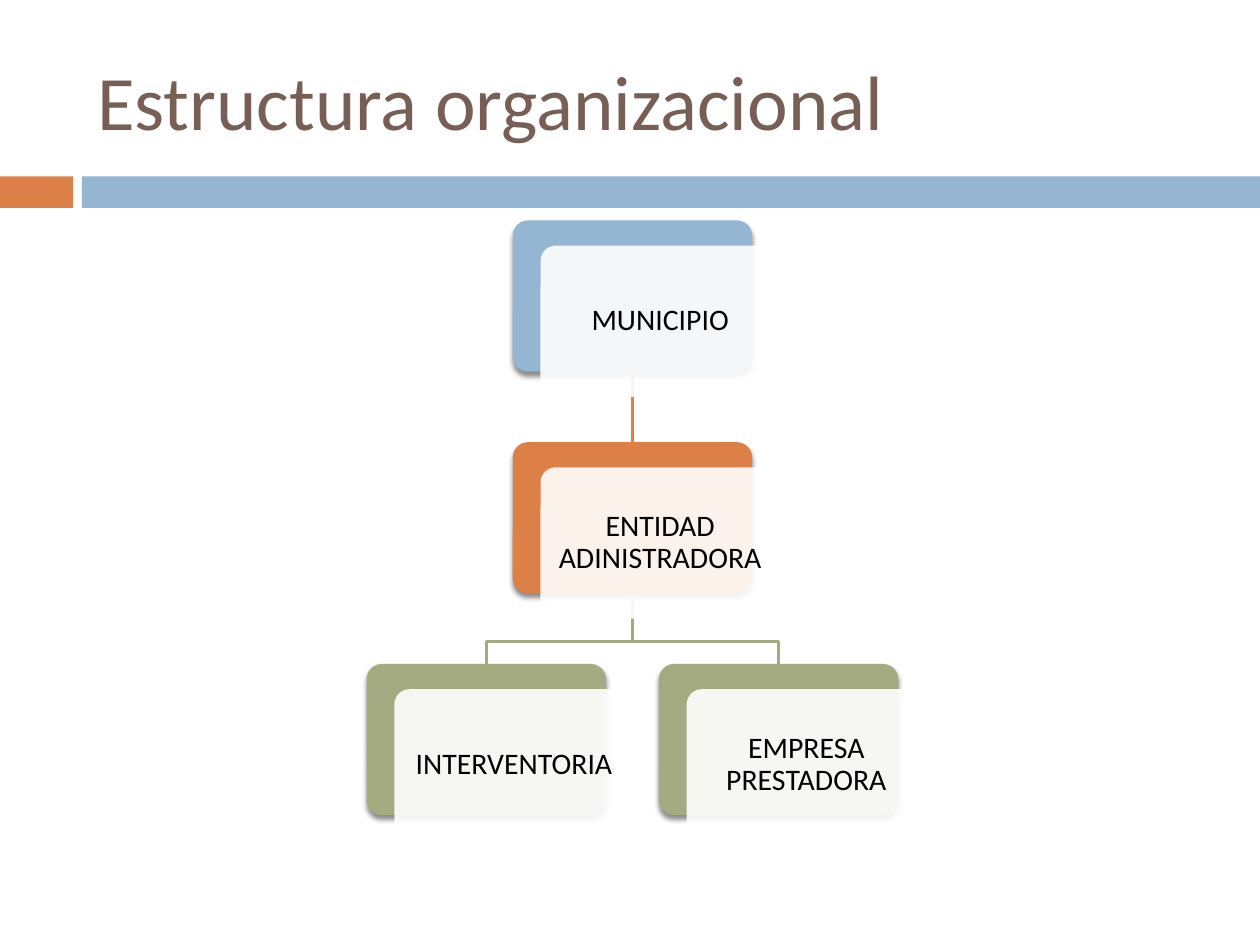
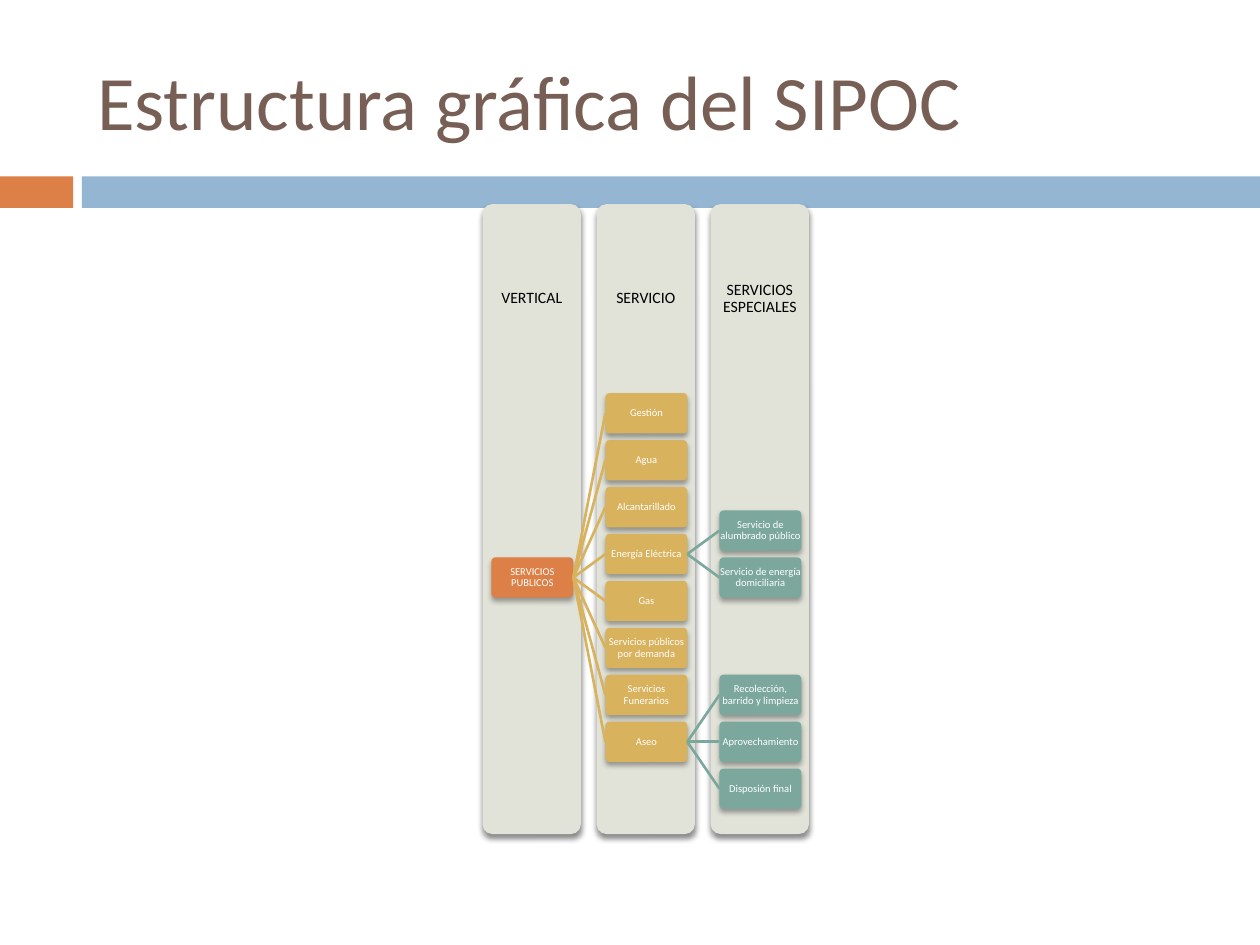
from lxml.etree import SubElement as Sub
from pptx import Presentation
from pptx.dml.color import RGBColor as Rgb
from pptx.enum.shapes import MSO_CONNECTOR as Link, MSO_SHAPE as Kind
from pptx.enum.text import MSO_ANCHOR as Anchor, PP_ALIGN as Align
from pptx.oxml.ns import qn
from pptx.util import Inches, Pt

FONT = "Calibri"
HUES = {
    "title": "775F55", "blue": "94B6D2", "orange": "DD8047", "green": "A5AB81",
    "gold": "D8B25C", "teal": "7BA79D", "lane": "E1E2D8",
    "white": "FFFFFF", "black": "000000",
}
TOP, LEFT, BOTTOM, RIGHT = range(4)


class Deck:
    def __init__(self):
        self.show = Presentation()
        self.show.slide_width, self.show.slide_height = Inches(10), Inches(7.5)
        self.slide = None

    def hue(self, name):
        return Rgb.from_string(HUES[name])

    def page(self, title):
        """Start a slide with the shared bands and title."""
        self.slide = self.show.slides.add_slide(self.show.slide_layouts[5])
        self.block(0, 1.4, 0.58, 0.25, "orange", Kind.RECTANGLE)
        self.block(0.65, 1.4, 9.35, 0.25, "blue", Kind.RECTANGLE)
        head = self.slide.shapes.title
        head.left, head.top = Inches(0.67), Inches(0.25)
        head.width, head.height = Inches(8.92), Inches(1.08)
        self.fill_text(head.text_frame, title, 44, "title", Align.LEFT)

    def fill_text(self, frame, text, size, hue, align=Align.CENTER):
        frame.word_wrap = True
        frame.vertical_anchor = Anchor.MIDDLE
        para = frame.paragraphs[0]
        para.alignment = align
        run = para.add_run()
        run.text = text
        run.font.name, run.font.size = FONT, Pt(size)
        run.font.color.rgb = self.hue(hue)
        return para

    def block(self, x, y, w, h, hue, kind=Kind.ROUNDED_RECTANGLE, alpha=None):
        shape = self.slide.shapes.add_shape(
            kind, Inches(x), Inches(y), Inches(w), Inches(h))
        if kind == Kind.ROUNDED_RECTANGLE:
            shape.adjustments[0] = 0.1
        shape.fill.solid()
        shape.fill.fore_color.rgb = self.hue(hue)
        shape.line.fill.background()
        shape.shadow.inherit = False
        if alpha:
            tint = shape.element.spPr.find(".//" + qn("a:srgbClr"))
            Sub(tint, qn("a:alpha"), val=str(alpha * 1000))
        return shape

    def shade(self, shape, alpha, drop):
        """Give a shape a soft shadow straight below it."""
        effects = shape.element.spPr.find(qn("a:effectLst"))
        outer = Sub(effects, qn("a:outerShdw"), blurRad=str(Pt(3)),
                    dist=str(Pt(drop)), dir="5400000", rotWithShape="0")
        tint = Sub(outer, qn("a:srgbClr"), val=HUES["black"])
        Sub(tint, qn("a:alpha"), val=str(alpha * 1000))

    def label(self, x, y, w, h, text, size, hue, inset):
        box = self.slide.shapes.add_textbox(
            Inches(x), Inches(y), Inches(w), Inches(h))
        frame = box.text_frame
        frame.margin_left = frame.margin_right = Inches(inset)
        frame.margin_top = frame.margin_bottom = Inches(inset)
        self.fill_text(frame, text, size, hue).line_spacing = 0.9

    def pen(self, line, hue):
        line.color.rgb = self.hue(hue)
        line.width = Pt(1.5)

    def join(self, start, out, end, into, hue):
        """Link the middles of two sides with a straight line."""
        link = self.slide.shapes.add_connector(Link.STRAIGHT, 0, 0, 0, 0)
        link.begin_connect(start, out)
        link.end_connect(end, into)
        self.pen(link.line, hue)
        Sub(link.element.spPr, qn("a:effectLst"))

    def bend(self, spots, hue):
        """Draw an open line through the given points."""
        spots = [(Inches(x), Inches(y)) for x, y in spots]
        maker = self.slide.shapes.build_freeform(*spots[0])
        maker.add_line_segments(spots[1:], close=False)
        shape = maker.convert_to_shape()
        shape.fill.background()
        shape.shadow.inherit = False
        self.pen(shape.line, hue)


def chart(deck):
    """Organisation chart: column and row of each card, in half steps."""
    deck.page("Estructura organizacional")
    wide, high = 1.9, 1.2
    cards = [
        ("MUNICIPIO", 0, 0, "blue"),
        ("ENTIDAD ADINISTRADORA", 0, 1, "orange"),
        ("INTERVENTORIA", -1, 2, "green"),
        ("EMPRESA PRESTADORA", 1, 2, "green"),
    ]
    spots = [(4.07 + 1.16 * col, 1.75 + 1.76 * row) for _, col, row, _ in cards]

    # Coloured backs
    backs = []
    for (x, y), card in zip(spots, cards):
        back = deck.block(x, y, wide, high, card[3])
        deck.shade(back, 45, 2.4)
        backs.append(back)

    # Links, under the pale fronts
    deck.join(backs[0], BOTTOM, backs[1], TOP, "orange")
    mid, foot = spots[1][0] + wide / 2, spots[1][1] + high
    for x, y in spots[2:]:
        end = x + wide / 2
        deck.bend([(mid, foot), (mid, 5.09), (end, 5.09), (end, y)], "green")

    # Pale fronts with the names
    for (x, y), card in zip(spots, cards):
        place = (x + 0.22, y + 0.2, wide, high)
        deck.block(*place, "white", alpha=90)
        deck.label(*place, card[0], 17, "black", 0.07)


def tree(deck):
    """Service tree in three lanes."""
    deck.page("Estructura gráfica del SIPOC")
    step = (5.64 - 3.83) / 2
    lanes = [3.83 + step * i for i in range(3)]
    pitch = (6.1 - 3.12) / 8

    # Lanes and their heads
    heads = ["VERTICAL", "SERVICIO", "SERVICIOS ESPECIALES"]
    for x, head in zip(lanes, heads):
        deck.shade(deck.block(x, 1.62, 0.78, 5, "lane"), 45, 2.4)
        deck.label(x, 1.62, 0.78, 1.5, head, 9, "black", 0.07)

    def node(lane, row, text, hue, root=None):
        place = (lanes[lane] + 0.07, 3.12 + pitch * row, 0.65, 0.32)
        box = deck.block(*place, hue)
        deck.shade(box, 35, 2)
        deck.label(*place, text, 6, "white", 0)
        if root is not None:
            deck.join(root, RIGHT, box, LEFT, hue)
        return box

    # Root, services and special services
    root = node(0, 3.5, "SERVICIOS PUBLICOS", "orange")
    names = ["Gestión", "Agua", "Alcantarillado", "Energía Eléctrica", "Gas",
             "Servicios públicos por demanda", "Servicios Funerarios", "Aseo"]
    leaves = {
        "Energía Eléctrica": ["Servicio de alumbrado público",
                              "Servicio de energía domiciliaria"],
        "Aseo": ["Recolección, barrido y limpieza", "Aprovechamiento",
                 "Disposión final"],
    }
    for row, name in enumerate(names):
        box = node(1, row, name, "gold", root)
        kids = leaves.get(name, [])
        for i, kid in enumerate(kids):
            node(2, row + i - (len(kids) - 1) / 2, kid, "teal", box)


def main():
    deck = Deck()
    chart(deck)
    tree(deck)
    deck.show.save("out.pptx")


if __name__ == "__main__":
    main()
